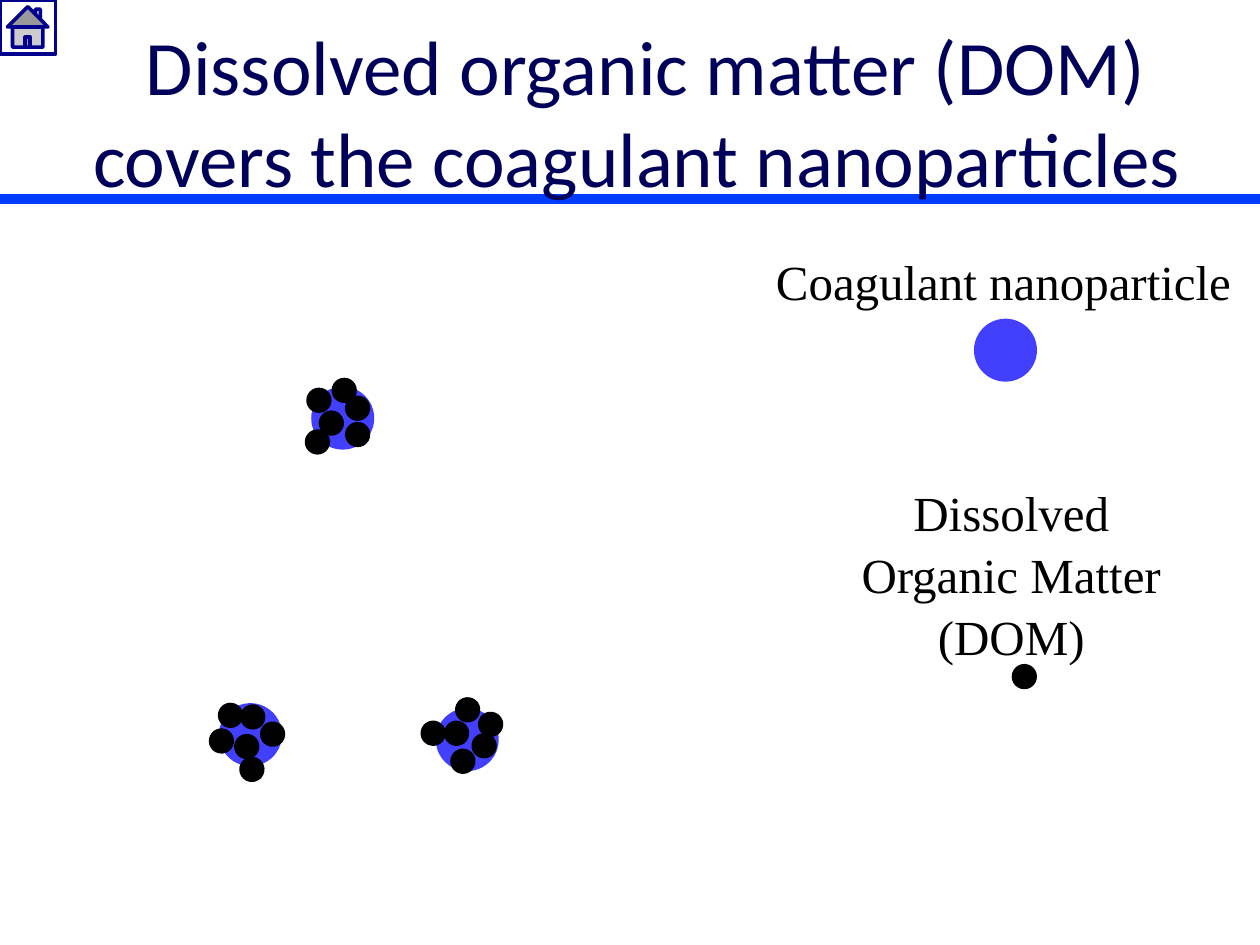
import math

from lxml import etree
from pptx import Presentation
from pptx import util as u
from pptx.dml.color import RGBColor
from pptx.enum import shapes, text
from pptx.oxml.ns import qn

Cm = u.Cm

# Content (lengths in cm, angles in degrees)
TITLE = "Dissolved organic matter (DOM) covers the coagulant nanoparticles "
LABELS = [  # text, left, top, width, height, wraps
    ("Coagulant nanoparticle", 15.34, 4.88, 9.78, 1.45, False),
    ("Dissolved Organic Matter (DOM)", 16.97, 9.55, 6.83, 3.84, True),
]
NAVY, EDGE, BLUE, BLACK, WHITE = "00005A", "02008D", "423FFF", "000000", "FFFFFF"
RULE = "003CFE"
CORE, DOM = 1.27, 0.51  # diameters
LEGEND = [(20.27, 7.06, CORE, BLUE), (20.65, 13.64, DOM, BLACK)]
CLUSTERS = [(6.91, 8.43, 0), (9.42, 14.91, 53.8), (5.05, 14.81, 310.9)]
DOM_OFFSETS = [(-0.48, -0.36), (-0.51, 0.48), (0.03, -0.56),
               (-0.23, 0.1), (0.3, 0.33), (0.3, -0.2)]


def color(hex_code):
    return RGBColor.from_string(hex_code)


def style(paragraph, font_name, size, hex_code):
    paragraph.alignment = text.PP_ALIGN.CENTER
    paragraph.font.name = font_name
    paragraph.font.size = u.Pt(size)
    paragraph.font.color.rgb = color(hex_code)


def add_particle(container, x, y, diameter, hex_code, angle=0):
    """Draw a borderless circle centred on (x, y)."""
    shape = container.add_shape(
        shapes.MSO_SHAPE.OVAL, Cm(x - diameter / 2), Cm(y - diameter / 2),
        Cm(diameter), Cm(diameter))
    shape.shadow.inherit = False
    shape.fill.solid()
    shape.fill.fore_color.rgb = color(hex_code)
    shape.line.fill.background()
    shape.rotation = angle


def add_cluster(slide, x, y, angle):
    """Draw a coagulant core with its DOM coating, turned by angle."""
    container = slide.shapes.add_group_shape().shapes if angle else slide.shapes
    add_particle(container, x, y, CORE, BLUE, angle)
    cos, sin = math.cos(math.radians(angle)), math.sin(math.radians(angle))
    for dx, dy in DOM_OFFSETS:
        add_particle(container, x + dx * cos - dy * sin,
                     y + dx * sin + dy * cos, DOM, BLACK, angle)


def add_label(slide, words, left, top, width, height, wraps):
    box = slide.shapes.add_textbox(Cm(left), Cm(top), Cm(width), Cm(height))
    frame = box.text_frame
    frame.word_wrap = wraps
    frame.auto_size = text.MSO_AUTO_SIZE.SHAPE_TO_FIT_TEXT
    frame.text = words
    style(frame.paragraphs[0], "Times New Roman", 28, BLACK)
    frame.paragraphs[0].line_spacing = 1.05


def add_header(slide):
    # Rule under the title
    rule = slide.shapes.add_connector(
        shapes.MSO_CONNECTOR.STRAIGHT, Cm(0), Cm(4.01), Cm(25.4), Cm(4.01))
    rule.line.color.rgb = color(RULE)
    rule.line.width = u.Pt(6)
    etree.SubElement(rule._element.spPr, qn("a:effectLst"))

    # Home button
    home = slide.shapes.add_shape(
        shapes.MSO_SHAPE.ACTION_BUTTON_HOME, Cm(0), Cm(0), Cm(1.12), Cm(1.09))
    home.shadow.inherit = False
    home.fill.solid()
    home.fill.fore_color.rgb = color(WHITE)
    home.line.color.rgb = color(EDGE)
    home.line.width = u.Pt(2)

    # Title, moved in front of the rule
    title = slide.shapes.title
    title.left, title.top = Cm(1.27), Cm(0.64)
    title.width, title.height = Cm(23.5), Cm(3.18)
    frame = title.text_frame
    frame.text = TITLE
    frame.word_wrap = True
    frame.auto_size = text.MSO_AUTO_SIZE.NONE
    frame.vertical_anchor = text.MSO_ANCHOR.MIDDLE
    style(frame.paragraphs[0], "Calibri", 44, NAVY)
    home._element.addnext(title._element)


def main():
    presentation = Presentation()
    presentation.slide_width, presentation.slide_height = Cm(25.4), Cm(19.05)
    slide = presentation.slides.add_slide(presentation.slide_layouts[5])
    add_header(slide)

    # Legend
    for label in LABELS:
        add_label(slide, *label)
    for particle in LEGEND:
        add_particle(slide.shapes, *particle)

    # Coated nanoparticles
    for cluster in CLUSTERS:
        add_cluster(slide, *cluster)

    presentation.save("out.pptx")


if __name__ == "__main__":
    main()
